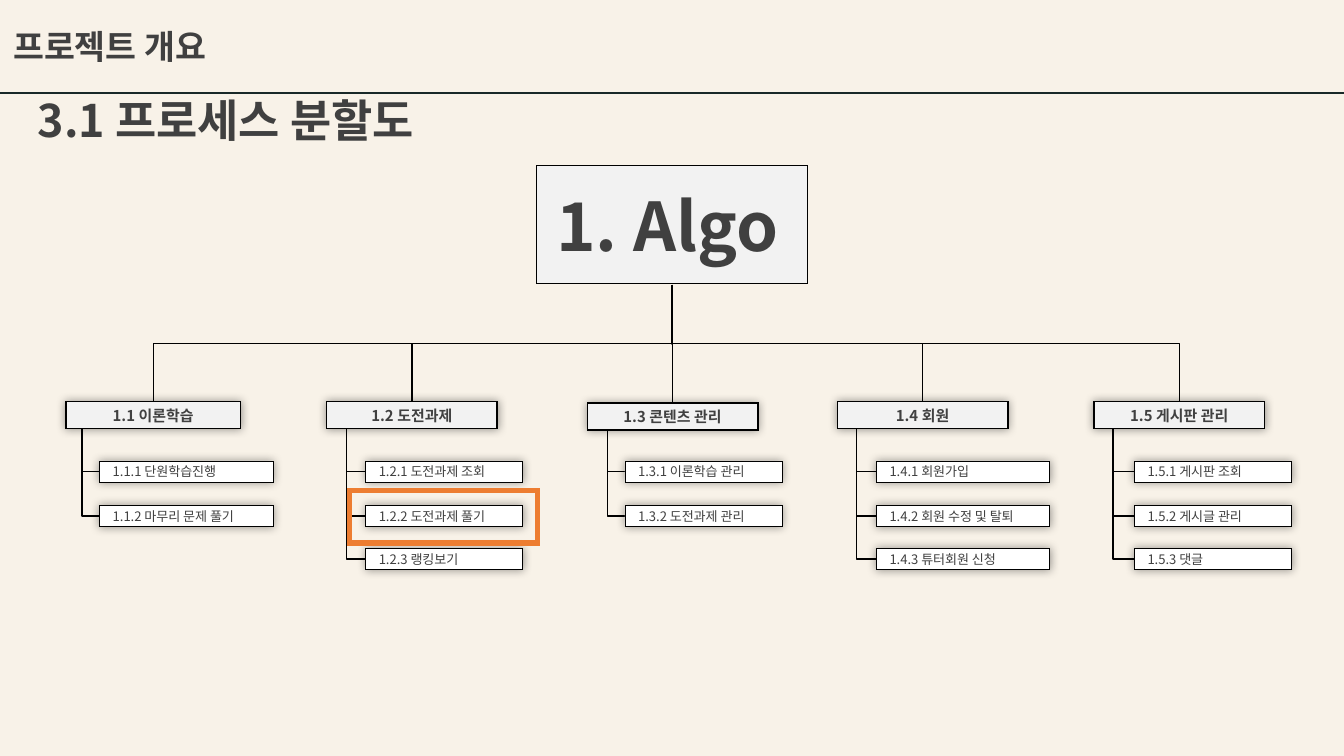
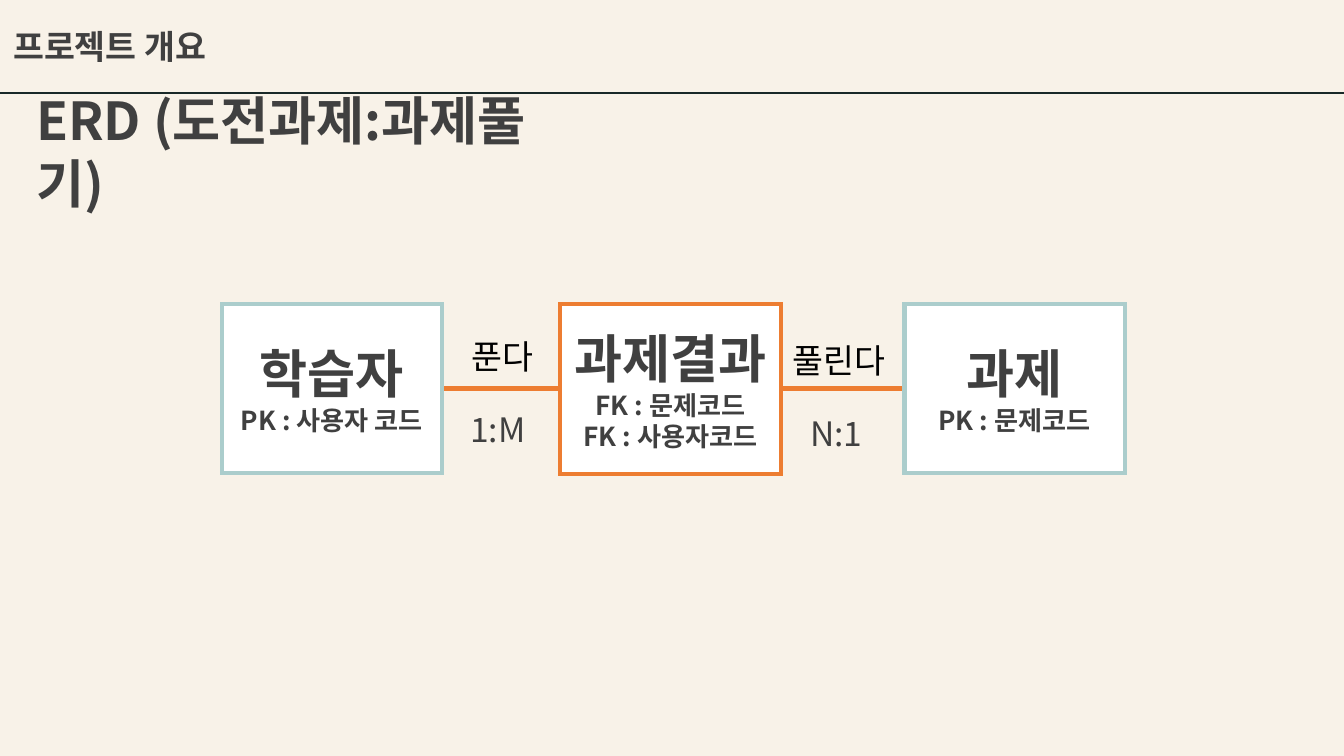
from lxml import etree
from pptx import Presentation
from pptx.dml.color import RGBColor
from pptx.enum.shapes import MSO_CONNECTOR, MSO_SHAPE
from pptx.enum.text import MSO_ANCHOR, MSO_AUTO_SIZE, PP_ALIGN
from pptx.oxml import parse_xml
from pptx.oxml.ns import nsdecls, qn
from pptx.util import Inches, Pt

RECT = MSO_SHAPE.RECTANGLE
LINE, ELBOW = MSO_CONNECTOR.STRAIGHT, MSO_CONNECTOR.ELBOW
LEFT, MID = PP_ALIGN.LEFT, PP_ALIGN.CENTER
TOP, CENTER = MSO_ANCHOR.TOP, MSO_ANCHOR.MIDDLE
GROW = MSO_AUTO_SIZE.SHAPE_TO_FIT_TEXT

FONT = "Noto Sans CJK KR"
CREAM, INK, BLACK, WHITE = "F8F2E8", "404040", "000000", "FFFFFF"
GRAY, ORANGE, TEAL, RULE = "F2F2F2", "ED7D31", "ABCDCC", "192928"

SECTION = "프로젝트 개요"
TREE_TITLE = "3.1 프로세스 분할도"
ROOT = "1. Algo"
ROOT_AT = (3.99, 1.23, 2.02, 0.88)
# name, left, top, width, trunk x, item left, item width, items
GROUPS = [
    ("1.1 이론학습", 0.49, 2.99, 1.3, 0.61, 0.74, 1.29,
     ["1.1.1 단원학습진행", "1.1.2 마무리 문제 풀기"]),
    ("1.2 도전과제", 2.43, 2.99, 1.27, 2.58, 2.72, 1.17,
     ["1.2.1 도전과제 조회", "1.2.2 도전과제 풀기", "1.2.3 랭킹보기"]),
    ("1.3 콘텐츠 관리", 4.37, 3, 1.27, 4.52, 4.65, 1.17,
     ["1.3.1 이론학습 관리", "1.3.2 도전과제 관리"]),
    ("1.4 회원", 6.23, 2.99, 1.27, 6.37, 6.52, 1.29,
     ["1.4.1 회원가입", "1.4.2 회원 수정 및 탈퇴", "1.4.3 튜터회원 신청"]),
    ("1.5 게시판 관리", 8.14, 2.99, 1.27, 8.28, 8.44, 1.17,
     ["1.5.1 게시판 조회", "1.5.2 게시글 관리", "1.5.3 댓글"]),
]
ITEM_TOPS = [3.43, 3.76, 4.08]
HEAD_H, ITEM_H = 0.2, 0.16
FOCUS = (2.6, 3.65, 1.4, 0.39)

ERD_TITLE = "ERD (도전과제:과제풀기)"
TABLES = [
    (1.65, 1.26, TEAL, ["학습자", "PK : 사용자 코드"]),
    (4.17, 1.27, ORANGE, ["과제결과", "FK : 문제코드", "FK : 사용자코드"]),
    (6.73, 1.26, TEAL, ["과제", "PK : 문제코드"]),
]
LABELS = [
    ("푼다", (3.41, 2.45, 0.66, 0.4), BLACK),
    ("1:M", (3.4, 2.99, 0.66, 0.4), INK),
    ("풀린다", (5.8, 2.48, 0.9, 0.4), BLACK),
    ("N:1", (5.93, 3.02, 0.63, 0.4), INK),
]


def color(code):
    return RGBColor.from_string(code)


def write(shape, lines, sizes, bold=False, tint=INK, align=LEFT, anchor=CENTER):
    frame = shape.text_frame
    frame.text = "\n".join(lines)
    frame.vertical_anchor = anchor
    for para, size in zip(frame.paragraphs, sizes):
        para.alignment = align
        for run in para.runs:
            font = run.font
            font.size, font.bold, font.name = Pt(size), bold, FONT
            font.color.rgb = color(tint)
            east = etree.SubElement(run._r.get_or_add_rPr(), qn("a:ea"))
            east.set("typeface", FONT)
    return frame


def box(slide, at, fill=None, line=None, weight=0.75):
    shape = slide.shapes.add_shape(RECT, *map(Inches, at))
    shape.shadow.inherit = False
    if fill:
        shape.fill.solid()
        shape.fill.fore_color.rgb = color(fill)
    else:
        shape.fill.background()
    if line:
        shape.line.color.rgb = color(line)
        shape.line.width = Pt(weight)
        miter = etree.SubElement(shape._element.spPr.find(qn("a:ln")), qn("a:miter"))
        miter.set("lim", "800000")
    else:
        shape.line.fill.background()
    return shape


def glow(shape):
    effects = shape._element.spPr.find(qn("a:effectLst"))
    effects.append(parse_xml(
        f'<a:outerShdw {nsdecls("a")} blurRad="{Pt(5)}" dist="0" dir="0" '
        'algn="ctr" rotWithShape="0"><a:srgbClr val="000000">'
        '<a:alpha val="40000"/></a:srgbClr></a:outerShdw>'))


def link(slide, kind, ends, tint, weight):
    wire = slide.shapes.add_connector(kind, *map(Inches, ends))
    wire.line.color.rgb = color(tint)
    wire.line.width = Pt(weight)
    etree.SubElement(wire._element.spPr, qn("a:effectLst"))
    return wire


def drop(slide, x, y, end_x, end_y, preset):
    """Draw an elbow that leaves downwards, as a turned connector."""
    wide, high = end_y - y, abs(end_x - x)
    left, top = (x + end_x - wide) / 2, (y + end_y - high) / 2
    right = left + wide
    flip = end_x > x
    ends = (right, top, left, top + high) if flip else (left, top, right, top + high)
    wire = link(slide, ELBOW, ends, BLACK, 0.75)
    props = wire._element.spPr
    props.find(qn("a:xfrm")).set("rot", str((270 if flip else 90) * 60000))
    props.find(qn("a:prstGeom")).set("prst", preset)


def start(deck, title, at, size, wrap):
    slide = deck.slides.add_slide(deck.slide_layouts[5])
    head = slide.shapes.title
    head.left, head.top, head.width, head.height = map(Inches, at)
    frame = write(head, [title], [size], True, anchor=TOP)
    frame.word_wrap, frame.auto_size = wrap, GROW
    return slide


def finish(slide):
    band = box(slide, (0, 0, 10, 0.69), CREAM)
    write(band, [SECTION], [18], True)
    link(slide, LINE, (0, 0.69, 10, 0.69), RULE, 1)


def tree(deck):
    slide = start(deck, TREE_TITLE, (0.18, 0.64, 3.11, 0.5), 24, False)
    root = box(slide, ROOT_AT, GRAY, BLACK)
    write(root, [ROOT], [36], True, align=MID).margin_right = Inches(0.17)
    for name, left, top, width, trunk, inner, span, items in GROUPS:
        drop(slide, 5, 2.12, left + width / 2, top, "bentConnector3")
        for item, y in zip(items, ITEM_TOPS):
            drop(slide, trunk, top + HEAD_H, inner, y + ITEM_H / 2, "bentConnector2")
            leaf = box(slide, (inner, y, span, ITEM_H), WHITE, BLACK, 0.25)
            glow(leaf)
            write(leaf, [item], [7])
        head = box(slide, (left, top, width, HEAD_H), GRAY, BLACK)
        glow(head)
        write(head, [name], [8], True, align=MID)
    box(slide, FOCUS, None, ORANGE, 3)
    finish(slide)


def erd(deck):
    slide = start(deck, ERD_TITLE, (0.17, 0.61, 4.32, 0.57), 28, True)
    link(slide, LINE, (3.29, 2.89, 6.73, 2.89), ORANGE, 3)
    for left, high, edge, lines in TABLES:
        card = box(slide, (left, 2.26, 1.64, high), WHITE, edge, 2.25)
        frame = write(card, lines, [28, 14, 14], True, align=MID)
        frame.margin_left = frame.margin_right = Inches(0.02)
        frame.margin_top = frame.margin_bottom = 0
    for text, at, tint in LABELS:
        label = slide.shapes.add_textbox(*map(Inches, at))
        frame = write(label, [text], [18], tint=tint, anchor=TOP)
        frame.word_wrap, frame.auto_size = False, GROW
    finish(slide)


def main():
    deck = Presentation()
    deck.slide_width = Inches(10)
    deck.slide_height = deck.slide_width * 9 // 16
    back = deck.slide_master.background.fill
    back.solid()
    back.fore_color.rgb = color(CREAM)
    tree(deck)
    erd(deck)
    deck.save("out.pptx")


if __name__ == "__main__":
    main()
